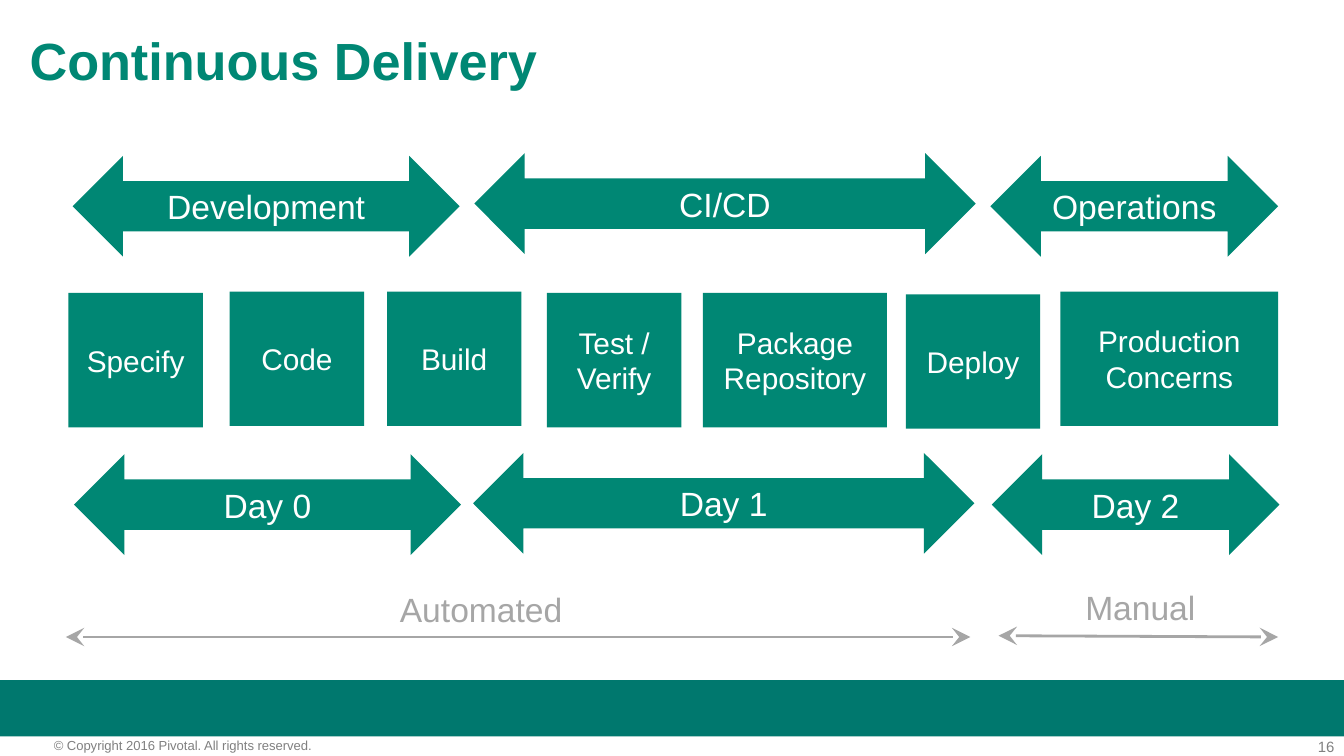
from lxml import etree
from pptx import Presentation
from pptx import util as u
from pptx.dml.color import RGBColor
from pptx.enum import shapes, text
from pptx.oxml import ns

COLORS = {"green": "008774", "band": "00786E", "white": "FFFFFF",
          "gray": "A6A6A6", "footer": "808080"}
ALIGN = text.PP_ALIGN
ANCHOR = text.MSO_ANCHOR
SHAPE = shapes.MSO_SHAPE


def rgb(name):
    return RGBColor.from_string(COLORS[name])


def write(tf, content, size=18, color="white", bold=False, align=ALIGN.CENTER,
          anchor=ANCHOR.MIDDLE, insets=(0.1, 0.05, 0.1, 0.05)):
    tf.word_wrap = True
    tf.auto_size = text.MSO_AUTO_SIZE.NONE
    tf.vertical_anchor = anchor
    tf.margin_left, tf.margin_top, tf.margin_right, tf.margin_bottom = map(u.Inches, insets)
    for i, line in enumerate(content.split("\n")):
        p = tf.paragraphs[0] if i == 0 else tf.add_paragraph()
        p.alignment = align
        r = p.add_run()
        r.text = line
        r.font.name = "Arial"
        r.font.size = u.Pt(size)
        r.font.bold = bold
        r.font.color.rgb = rgb(color)


class Deck:
    def __init__(self, prs):
        self.s = prs.slides.add_slide(prs.slide_layouts[5])

    def title(self, content, box):
        sp = self.s.shapes.title
        sp.left, sp.top, sp.width, sp.height = map(u.Inches, box)
        write(sp.text_frame, content, size=28, color="green", bold=True,
              align=ALIGN.LEFT, anchor=ANCHOR.BOTTOM, insets=(0.1, 0, 0.1, 0))

    def shape(self, kind, box, content="", fill="green", **style):
        sp = self.s.shapes.add_shape(kind, *map(u.Inches, box))
        sp.shadow.inherit = False
        sp.fill.solid()
        sp.fill.fore_color.rgb = rgb(fill)
        sp.line.fill.background()
        if content:
            write(sp.text_frame, content, **style)

    def label(self, content, box, **style):
        sp = self.s.shapes.add_textbox(*map(u.Inches, box))
        write(sp.text_frame, content, **style)

    def span(self, x1, y1, x2, y2):
        c = self.s.shapes.add_connector(shapes.MSO_CONNECTOR.STRAIGHT,
                                        *map(u.Inches, (x1, y1, x2, y2)))
        c.line.width = u.Pt(1.5)
        c.line.color.rgb = rgb("gray")
        ln = c.line._get_or_add_ln()
        for end in ("a:headEnd", "a:tailEnd"):
            etree.SubElement(ln, ns.qn(end), type="stealth", w="lg", len="lg")
        etree.SubElement(c._element.spPr, ns.qn("a:effectLst"))


def main():
    prs = Presentation()
    prs.slide_width = u.Inches(10)
    prs.slide_height = prs.slide_width * 9 // 16
    deck = Deck(prs)

    deck.shape(SHAPE.RECTANGLE, (0, 5.06, 10, 0.42), fill="band")
    footer = dict(color="footer", anchor=ANCHOR.TOP, insets=(0, 0, 0, 0))
    deck.label("16", (9.35, 5.49, 0.58, 0.13), size=8, align=ALIGN.RIGHT, **footer)
    deck.label("© Copyright 2016 Pivotal. All rights reserved.",
               (0.4, 5.49, 2.49, 0.12), size=7, align=ALIGN.LEFT, **footer)
    deck.title("Continuous Delivery", (0.12, 0.16, 9.62, 0.52))

    phases = [
        ("Day 0", 0.55, 3.38, 2.88),
        ("Day 1", 3.52, 3.37, 3.73),
        ("Day 2", 7.38, 3.38, 2.14),
        ("Development", 0.54, 1.16, 2.88),
        ("CI/CD", 3.53, 1.14, 3.73),
        ("Operations", 7.37, 1.16, 2.14),
    ]
    for name, x, y, w in phases:
        deck.shape(SHAPE.LEFT_RIGHT_ARROW, (x, y, w, 0.75), name)

    steps = [
        ("Specify", 0.51, 2.18, 1),
        ("Code", 1.71, 2.17, 1),
        ("Deploy", 6.74, 2.19, 1),
        ("Build", 2.88, 2.17, 1),
        ("Test /\nVerify", 4.07, 2.18, 1),
        ("Package Repository", 5.23, 2.18, 1.37),
        ("Production Concerns", 7.89, 2.17, 1.62),
    ]
    for name, x, y, w in steps:
        deck.shape(SHAPE.RECTANGLE, (x, y, w, 1), name, size=16)

    modes = [
        ("Automated", (2.86, 4.33, 1.44, 0.4), (0.49, 4.74, 7.22, 4.74)),
        ("Manual", (7.97, 4.32, 1.03, 0.4), (7.43, 4.73, 9.51, 4.74)),
    ]
    for name, box, _ in modes:
        deck.label(name, box, color="gray", anchor=ANCHOR.TOP)
    for _, _, ends in modes:
        deck.span(*ends)

    prs.save("out.pptx")


if __name__ == "__main__":
    main()
